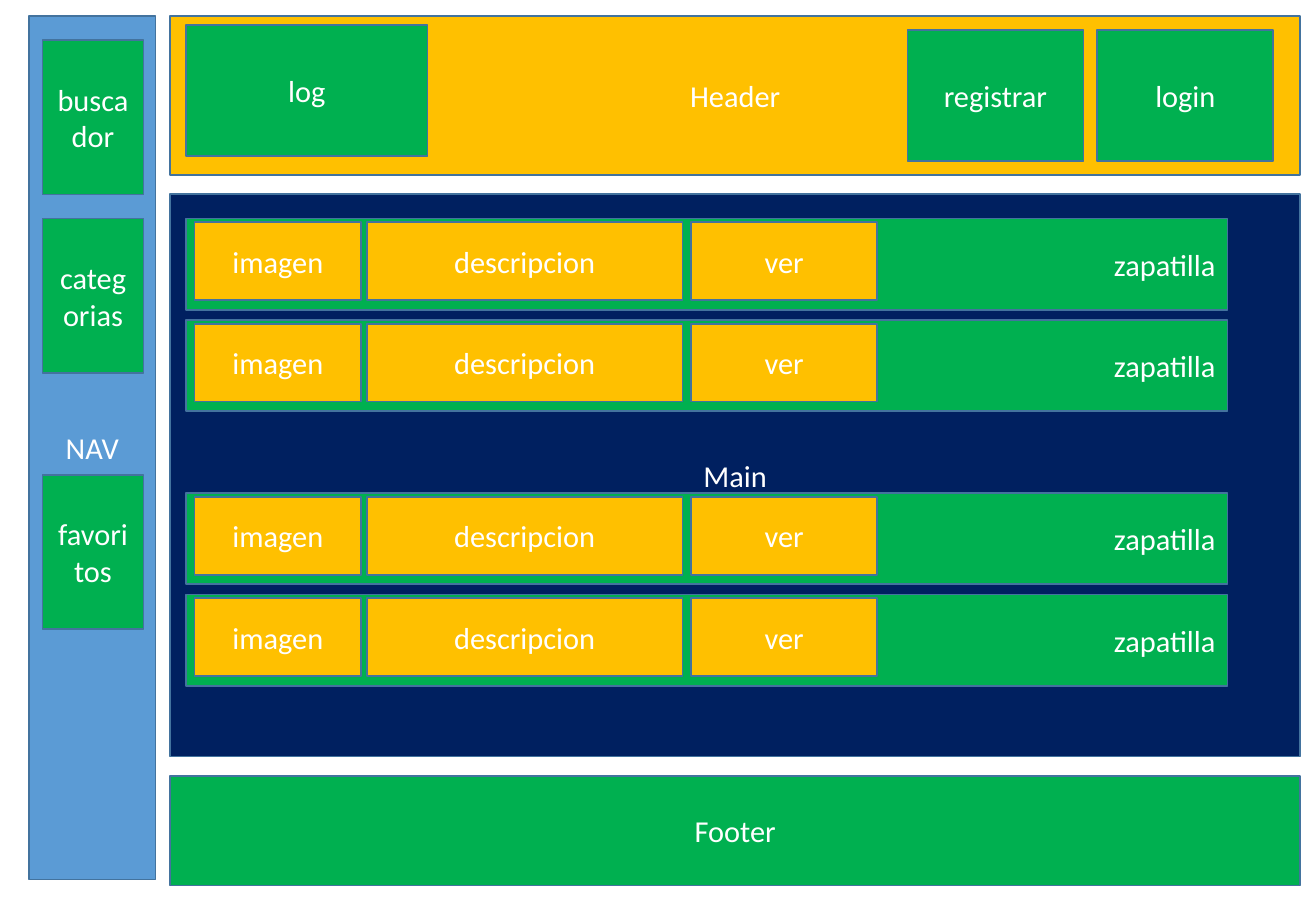
from pptx import Presentation
from pptx.dml.color import RGBColor
from pptx.enum.shapes import MSO_SHAPE
from pptx.enum.text import MSO_ANCHOR, PP_ALIGN
from pptx.util import Cm, Pt

BLUE, NAVY, GREEN, AMBER = "5B9BD5", "002060", "00B050", "FFC000"
BORDER, WHITE = "43739E", "FFFFFF"
LEFT, WIDTH = 3.56, 23.62


def color(value):
    """Turn a hex string into a colour."""
    return RGBColor.from_string(value)


def add_block(slide, text, box, fill, align=PP_ALIGN.CENTER):
    """Draw a labelled rectangle in a box of centimetres."""
    sp = slide.shapes.add_shape(MSO_SHAPE.RECTANGLE, *map(Cm, box))
    sp.shadow.inherit = False
    sp.fill.solid()
    sp.fill.fore_color.rgb = color(fill)
    sp.line.color.rgb = color(BORDER)
    sp.line.width = Pt(1)
    tf = sp.text_frame
    tf.word_wrap = True
    tf.vertical_anchor = MSO_ANCHOR.MIDDLE
    p = tf.paragraphs[0]
    p.text = text
    p.alignment = align
    p.font.name = "Calibri"
    p.font.size = Pt(18)
    p.font.color.rgb = color(WHITE)


def add_nav(slide, box):
    """Draw the side navigation and its buttons."""
    x, y, _, _ = box
    add_block(slide, "NAV", box, BLUE)
    for text, dy in (("buscador", 0.51), ("categorias", 4.24), ("favoritos", 9.6)):
        add_block(slide, text, (x + 0.28, y + dy, 2.11, 3.23), GREEN)


def add_header(slide, box):
    """Draw the header with its logo block and account buttons."""
    x, y, _, _ = box
    add_block(slide, "Header", box, AMBER)
    for text, dx, dy, w in (
        ("log", 0.33, 0.2, 5.05),
        ("registrar", 15.41, 0.3, 3.68),
        ("login", 19.38, 0.3, 3.68),
    ):
        add_block(slide, text, (x + dx, y + dy, w, 2.74), GREEN)


def add_product(slide, box):
    """Draw one product row with its three cells."""
    x, y, _, _ = box
    add_block(slide, "zapatilla", box, GREEN, PP_ALIGN.RIGHT)
    for text, dx, w in (
        ("imagen", 0.18, 3.48),
        ("descripcion", 3.78, 6.6),
        ("ver", 10.56, 3.89),
    ):
        add_block(slide, text, (x + dx, y + 0.08, w, 1.63), AMBER)


def add_main(slide, box):
    """Draw the main area with two pairs of product rows."""
    x, y, _, _ = box
    add_block(slide, "Main", box, NAVY)
    for pair_top in (0.51, 6.25):
        for row in range(2):
            top = y + pair_top + row * 2.12
            add_product(slide, (x + 0.33, top, 21.77, 1.91))


def add_footer(slide, box):
    """Draw the footer."""
    add_block(slide, "Footer", box, GREEN)


def main():
    """Build and save the page layout slide."""
    prs = Presentation()
    prs.slide_width, prs.slide_height = Cm(27.51), Cm(19.05)
    s = prs.slides.add_slide(prs.slide_layouts[6])
    add_nav(s, (0.61, 0.33, 2.64, 18.06))
    add_header(s, (LEFT, 0.33, WIDTH, 3.33))
    add_main(s, (LEFT, 4.06, WIDTH, 11.76))
    add_footer(s, (LEFT, 16.23, WIDTH, 2.29))
    prs.save("out.pptx")


if __name__ == "__main__":
    main()
